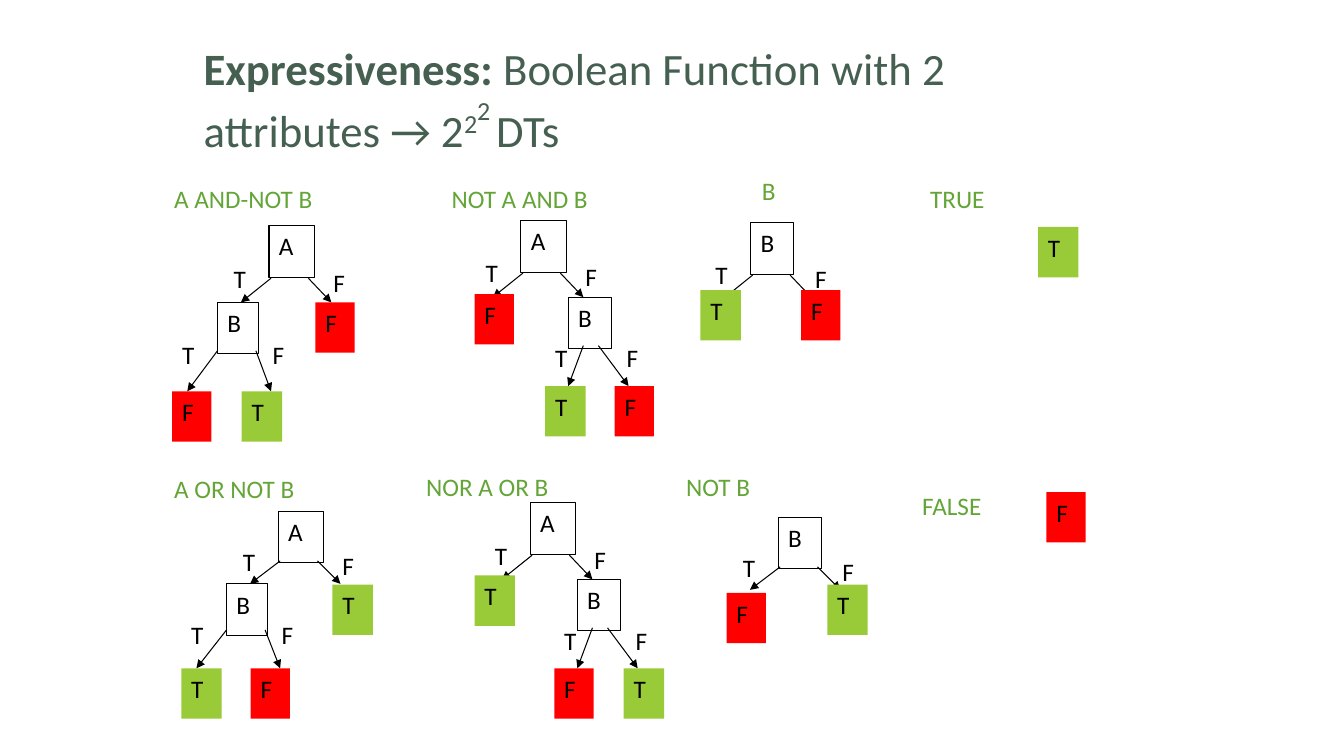
from lxml import etree
from pptx import Presentation
from pptx.dml.color import RGBColor
from pptx.enum.shapes import MSO_CONNECTOR, MSO_SHAPE
from pptx.enum.text import MSO_ANCHOR, PP_ALIGN
from pptx.oxml.ns import qn
from pptx.util import Cm, Pt

RECT = MSO_SHAPE.RECTANGLE
STRAIGHT = MSO_CONNECTOR.STRAIGHT
TOP, MIDDLE = MSO_ANCHOR.TOP, MSO_ANCHOR.MIDDLE
LEFT = PP_ALIGN.LEFT

BLACK, TITLE_GREEN, NAME_GREEN = "000000", "455F51", "63A537"
LEAF_FILL = {"T": "99CB38", "F": "FF0000"}
LEAF_W = {"T": 1.02, "F": 0.99}
LEAF_H, NODE_H = 1.27, 1.3
NODE_W = {"A": 1.14, "B": 1.09}

# Forks, in cm from the node's corner; each pair is (T branch, F branch)
ROOT_FORK = {
    "starts": [(0.05, 1.32), (0.99, 1.32)],
    "ends": [(-0.71, 1.93), (1.57, 1.93)],
    "labels": [(-1.14, 0.81), (1.37, 0.91)],
}
LEFT_FORK = {
    "starts": [(0, 1.22), (0.97, 1.22)],
    "ends": [(-0.76, 2.24), (1.35, 2.24)],
    "labels": [(-1.14, 0.81), (1.14, 0.81)],
    "leaves": [(-1.14, 2.24), (0.61, 2.24)],
}
RIGHT_FORK = {
    "starts": [(0.38, 1.22), (0.76, 1.22)],
    "ends": [(0, 2.24), (1.52, 2.24)],
    "labels": [(-0.58, 1.02), (1.22, 1.02)],
    "leaves": [(-0.58, 2.24), (1.17, 2.24)],
}
# Place of the second-level B node: offset, width and fork
CHILD = {"left": (-1.3, 1.93, 1.04, LEFT_FORK), "right": (1.19, 1.93, 1.09, RIGHT_FORK)}

# Root name, x, y, vertical scale, leaves of the root, child side, child leaves
TREES = [
    ("A", 6.78, 5.69, 1, [("F", 1.17, 1.93)], "left", "FT"),
    ("A", 13.13, 5.56, 1, [("F", -1.17, 1.85)], "right", "TF"),
    ("B", 18.92, 5.61, 1, [("T", -1.27, 1.7), ("F", 1.27, 1.7)], None, ""),
    ("A", 7.01, 12.88, 0.95, [("T", 1.37, 1.85)], "left", "TF"),
    ("A", 13.36, 12.67, 1, [("T", -1.4, 1.83)], "right", "FT"),
    ("B", 19.61, 13.03, 0.95, [("F", -1.3, 1.91), ("T", 1.24, 1.7)], None, ""),
]
SINGLE_LEAVES = [("T", 26.16, 5.72), ("F", 26.37, 12.4)]
FUNCTION_NAMES = [
    ("A AND-NOT B", 4.14, 4.5, 4.6),
    ("NOT A AND B", 11.13, 4.5, 4.55),
    ("B", 18.95, 4.29, 0.94),
    ("TRUE", 23.19, 4.5, 2.16),
    ("A OR NOT B", 4.14, 11.81, 4.06),
    ("NOR A OR B", 10.49, 11.76, 4.09),
    ("NOT B", 17.04, 11.76, 2.39),
    ("FALSE", 22.99, 12.24, 2.46),
]
# Title runs: text, bold, baseline in thousandths of a percent
TITLE_RUNS = [
    ("Expressiveness: ", True, 0),
    ("Boolean Function with 2 attributes → 2", False, 0),
    ("2", False, 30000),
    ("2 ", False, 60000),
    ("DTs", False, 0),
]


def rgb(color):
    return RGBColor.from_string(color)


def add_run(p, text, color, **formats):
    r = p.add_run()
    r.text = text
    r.font.color.rgb = rgb(color)
    for name, value in {"name": "Calibri", "size": Pt(18), **formats}.items():
        setattr(r.font, name, value)
    return r


def prepare_text(shape, anchor=TOP):
    tf = shape.text_frame
    for name, value in {"word_wrap": True, "vertical_anchor": anchor}.items():
        setattr(tf, name, value)
    p = tf.paragraphs[0]
    p.alignment = LEFT
    return p


def add_text(s, text, x, y, w, h, color=BLACK):
    box = s.shapes.add_textbox(Cm(x), Cm(y), Cm(w), Cm(h))
    add_run(prepare_text(box), text, color)


def add_box(s, text, x, y, w, h, fill=None):
    """Filled box for a leaf, outlined box for a node."""
    sp = s.shapes.add_shape(RECT, Cm(x), Cm(y), Cm(w), Cm(h))
    sp.shadow.inherit = False
    if fill:
        sp.fill.solid()
        sp.fill.fore_color.rgb = rgb(fill)
        sp.line.fill.background()
    else:
        sp.fill.background()
        sp.line.color.rgb = rgb(BLACK)
        sp.line.width = Pt(0.75)
    add_run(prepare_text(sp), text, BLACK)


def add_leaf(s, value, x, y):
    add_box(s, value, x, y, LEAF_W[value], LEAF_H, LEAF_FILL[value])


def add_arrow(s, x1, y1, x2, y2):
    line = s.shapes.add_connector(STRAIGHT, Cm(x1), Cm(y1), Cm(x2), Cm(y2))
    line.line.color.rgb = rgb(BLACK)
    line.line.width = Pt(0.75)
    etree.SubElement(line.line._get_or_add_ln(), qn("a:tailEnd"), type="triangle")
    etree.SubElement(line._element.spPr, qn("a:effectLst"))


def add_fork(s, x, y, scale, fork, leaves):
    """Two arrows from a node, the leaves below it and the T and F labels."""
    for (x1, y1), (x2, y2) in zip(fork["starts"], fork["ends"]):
        add_arrow(s, x + x1, y + y1 * scale, x + x2, y + y2 * scale)
    for value, dx, dy in leaves:
        add_leaf(s, value, x + dx, y + dy)
    for value, (dx, dy) in zip("TF", fork["labels"]):
        add_text(s, value, x + dx, y + dy * scale, LEAF_W[value], LEAF_H)


def add_tree(s, root, x, y, scale, leaves, side, child_leaves):
    add_box(s, root, x, y, NODE_W[root], NODE_H)
    add_fork(s, x, y, scale, ROOT_FORK, leaves)
    if side:
        dx, dy, w, fork = CHILD[side]
        x, y = x + dx, y + dy * scale
        add_box(s, "B", x, y, w, NODE_H)
        below = [(v, lx, ly * scale) for v, (lx, ly) in zip(child_leaves, fork["leaves"])]
        add_fork(s, x, y, scale, fork, below)


def add_title(s):
    box = s.shapes.add_textbox(Cm(4.88), Cm(0.89), Cm(22.43), Cm(3.18))
    p = prepare_text(box, MIDDLE)
    for text, bold, baseline in TITLE_RUNS:
        r = add_run(p, text, TITLE_GREEN, size=Pt(32), bold=bold)
        if baseline:
            r.font._element.set("baseline", str(baseline))


def main():
    prs = Presentation()
    prs.slide_width, prs.slide_height = Cm(33.87), Cm(19.05)
    s = prs.slides.add_slide(prs.slide_layouts[6])

    add_title(s)
    # Decision trees
    for tree in TREES:
        add_tree(s, *tree)
    # Constant functions
    for leaf in SINGLE_LEAVES:
        add_leaf(s, *leaf)
    # Names of the functions
    for text, x, y, w in FUNCTION_NAMES:
        add_text(s, text, x, y, w, 1.02, NAME_GREEN)

    prs.save("out.pptx")


if __name__ == "__main__":
    main()
